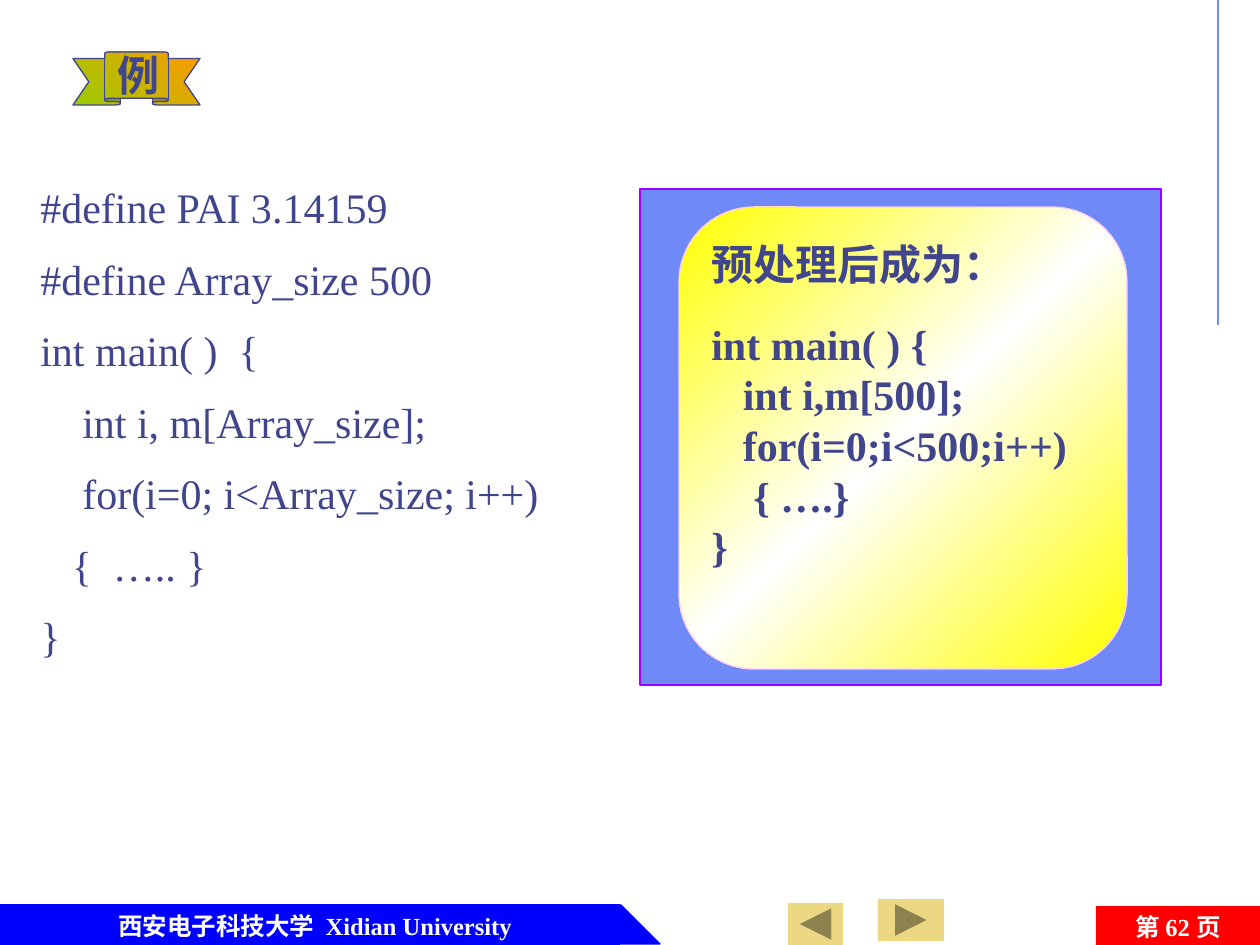
from lxml import etree
from pptx import Presentation
from pptx.dml.color import RGBColor
from pptx.enum.shapes import MSO_CONNECTOR, MSO_SHAPE
from pptx.enum.text import MSO_ANCHOR, PP_ALIGN
from pptx.oxml.ns import qn
from pptx.util import Emu, Pt

SCALE = 914400 / 126
SERIF, CJK, KARLA = "Times New Roman", "Noto Sans CJK SC", "Karla"
INK = RGBColor(0x40, 0x45, 0x8C)
WHITE = RGBColor(0xFF, 0xFF, 0xFF)
BLUE = RGBColor(0x00, 0x00, 0xFF)
RED = RGBColor(0xFF, 0x00, 0x00)
SAND = RGBColor(0xEC, 0xD8, 0x82)
PERIWINKLE = RGBColor(0x6F, 0x89, 0xF7)
PURPLE = RGBColor(0x99, 0x00, 0xFF)
PINK = RGBColor(0xFF, 0xCC, 0xFF)
YELLOW = RGBColor(0xFF, 0xFF, 0x00)
LIME = RGBColor(0x99, 0xCC, 0x00)
ORANGE = RGBColor(0xFF, 0x99, 0x00)

SOURCE_CODE = [
    "#define PAI 3.14159",
    "#define Array_size 500",
    "int main( )  {",
    "    int i, m[Array_size];",
    "    for(i=0; i<Array_size; i++)",
    "   {  ….. }",
    "}",
]
EXPANDED_CODE = [
    "int main( ) {",
    "   int i,m[500];",
    "   for(i=0;i<500;i++)",
    "    { ….}",
    "}",
]


def px(n):
    return Emu(round(n * SCALE))


def add_shape(slide, kind, box, fill=None, line=None):
    sp = slide.shapes.add_shape(kind, *map(px, box))
    sp.shadow.inherit = False
    if fill is not None:
        sp.fill.solid()
        sp.fill.fore_color.rgb = fill
    if line is None:
        sp.line.fill.background()
    else:
        sp.line.color.rgb = line
        sp.line.width = Pt(0.75)
    return sp


def set_gradient(sp, colors, angle):
    """Spread the colours evenly; angle is counter-clockwise."""
    sp.fill.gradient()
    sp.fill.gradient_angle = angle
    stops = sp._element.spPr.find(".//" + qn("a:gsLst"))
    for stop in list(stops):
        stops.remove(stop)
    for i, color in enumerate(colors):
        position = str(100000 * i // (len(colors) - 1))
        stop = etree.SubElement(stops, qn("a:gs"), pos=position)
        etree.SubElement(stop, qn("a:srgbClr"), val=str(color))


def add_run(p, text, size, color, bold=True, font=SERIF):
    r = p.add_run()
    r.text = text
    r.font.size = Pt(size)
    r.font.bold = bold
    r.font.color.rgb = color
    r.font.name = font
    etree.SubElement(r._r.get_or_add_rPr(), qn("a:ea"), typeface=CJK)


def label(sp, runs, size, color, align=PP_ALIGN.LEFT, wrap=False):
    """Write one vertically centred line; runs are (text, font) pairs."""
    tf = sp.text_frame
    tf.word_wrap = wrap
    tf.vertical_anchor = MSO_ANCHOR.MIDDLE
    tf.margin_top = tf.margin_bottom = 0
    p = tf.paragraphs[0]
    p.alignment = align
    for text, font in runs:
        add_run(p, text, size, color, font=font)


def add_text_box(slide, box):
    return slide.shapes.add_textbox(*map(px, box))


def add_code(slide, box, lines, bold, gap=0):
    tf = add_text_box(slide, box).text_frame
    tf.word_wrap = True
    for i, text in enumerate(lines):
        p = tf.paragraphs[0] if i == 0 else tf.add_paragraph()
        p.line_spacing = Pt(28.9)
        p.space_before = Pt(gap if i else 0)
        add_run(p, text, 24, INK, bold)


def add_side_rule(slide):
    rule = slide.shapes.add_connector(
        MSO_CONNECTOR.STRAIGHT, px(1218), px(0), px(1218), px(325))
    rule.line.color.rgb = PERIWINKLE
    rule.line.width = Pt(0.75)
    etree.SubElement(rule._element.spPr, qn("a:effectLst"))


def add_footer(slide):
    add_shape(slide, MSO_SHAPE.RECTANGLE, (0, 905, 620, 39), BLUE, BLUE)
    add_shape(slide, MSO_SHAPE.RIGHT_TRIANGLE, (621, 905, 39, 39), BLUE, BLUE)
    label(add_text_box(slide, (36, 906, 558, 39)),
          [("西安电子科技大学  Xidian University", SERIF)],
          14, WHITE, PP_ALIGN.CENTER, wrap=True)

    page = add_shape(slide, MSO_SHAPE.RECTANGLE, (1096, 906, 164, 41), RED)
    label(page, [("第 ", CJK), ("62 ", SERIF), ("页", CJK)],
          14, WHITE, PP_ALIGN.CENTER, wrap=True)

    button = MSO_SHAPE.ACTION_BUTTON_FORWARD_OR_NEXT
    add_shape(slide, button, (878, 899, 66, 42), SAND)
    back = add_shape(slide, button, (788, 903, 55, 42), SAND)
    back.rotation = 180


def add_example_ribbon(slide):
    ribbon = add_shape(slide, MSO_SHAPE.UP_RIBBON, (73, 52, 127, 53), line=INK)
    ribbon.adjustments[0] = 0.125
    ribbon.adjustments[1] = 0.5
    set_gradient(ribbon, [LIME, ORANGE], 45)
    label(ribbon, [("例", KARLA)], 24, INK)


def add_result_panel(slide):
    add_shape(slide, MSO_SHAPE.RECTANGLE, (640, 189, 521, 496),
              PERIWINKLE, PURPLE)
    card = add_shape(slide, MSO_SHAPE.ROUNDED_RECTANGLE, (679, 207, 448, 462),
                     line=PINK)
    card.adjustments[0] = 0.167
    set_gradient(card, [YELLOW, WHITE, YELLOW], 315)
    label(add_text_box(slide, (699, 232, 403, 63)),
          [("预处理后成为：", SERIF)], 24, INK)
    add_code(slide, (699, 312, 392, 267), EXPANDED_CODE, bold=True)


def main():
    prs = Presentation()
    prs.slide_width, prs.slide_height = px(1260), px(945)
    slide = prs.slides.add_slide(prs.slide_layouts[6])
    add_side_rule(slide)
    add_footer(slide)
    add_example_ribbon(slide)
    add_code(slide, (28, 175, 566, 522), SOURCE_CODE, bold=False, gap=12)
    add_result_panel(slide)
    prs.save("out.pptx")


if __name__ == "__main__":
    main()
